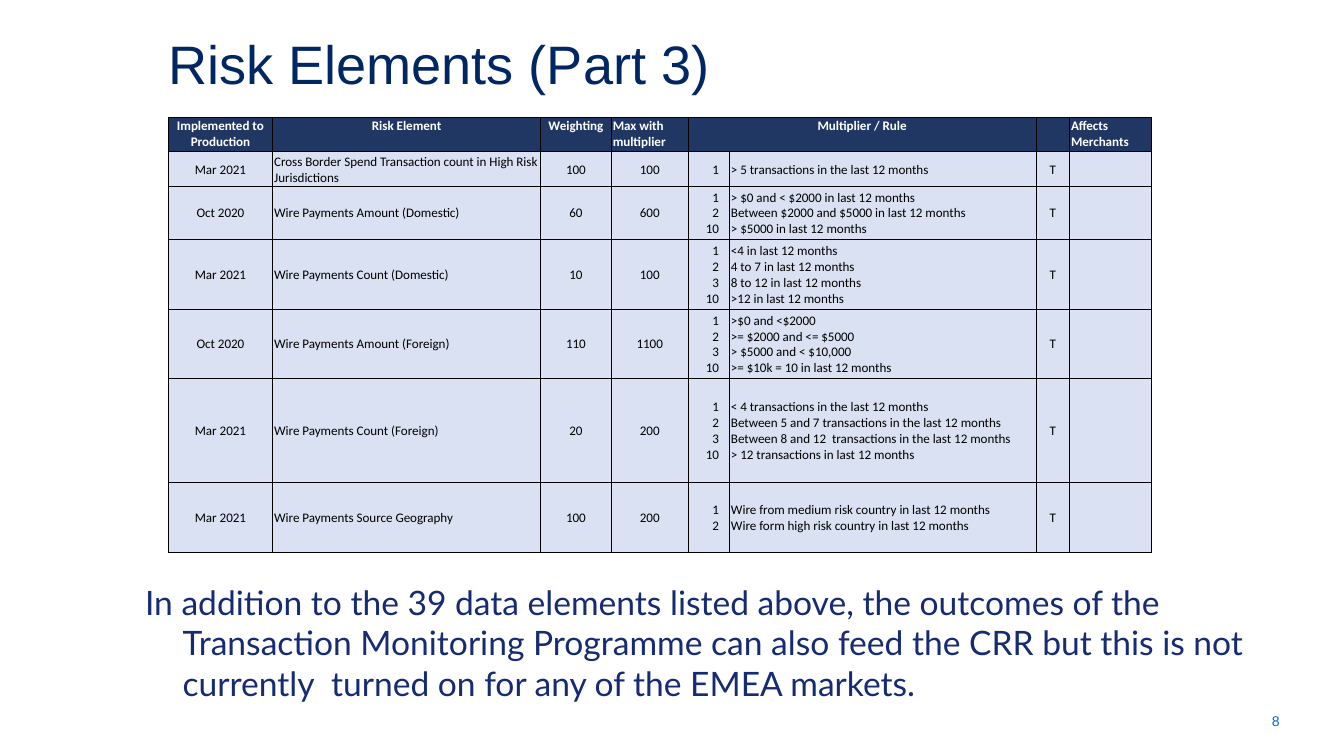
from lxml import etree
from pptx import Presentation
from pptx import util as u
from pptx.dml import color
from pptx.enum import text
from pptx.oxml import ns

HUES = {"title": "002663", "body": "162B73", "page": "006AD2", "head": "203764",
        "cell": "D9E1F2", "light": "FFFFFF", "dark": "000000"}
LEFT, MID, RIGHT = text.PP_ALIGN.LEFT, text.PP_ALIGN.CENTER, text.PP_ALIGN.RIGHT
TOP, CORE = text.MSO_ANCHOR.TOP, text.MSO_ANCHOR.MIDDLE

COLS = [0.78, 1.99, 0.53, 0.57, 0.31, 2.28, 0.25, 0.61]
HIGHS = [0.26, 0.26, 0.39, 0.52, 0.52, 0.77, 0.52]
HEADS = ["Implemented to Production", "Risk Element", "Weighting", "Max with multiplier",
         "Multiplier / Rule", "", "", "Affects Merchants"]
HEAD_SIDES = [MID, MID, MID, LEFT, MID, MID, MID, LEFT]
SIDES = [MID, LEFT, MID, MID, RIGHT, LEFT, MID, MID]
RISKS = [
    ("Mar 2021", "Cross Border Spend Transaction count in High Risk Jurisdictions", "100", "100",
     {"1": "> 5 transactions in the last 12 months"}),
    ("Oct 2020", "Wire Payments Amount (Domestic)", "60", "600",
     {"1": "> $0 and < $2000 in last 12 months",
      "2": "Between $2000 and $5000 in last 12 months",
      "10": "> $5000 in last 12 months"}),
    ("Mar 2021", "Wire Payments Count (Domestic)", "10", "100",
     {"1": "<4 in last 12 months", "2": "4 to 7 in last 12 months",
      "3": "8 to 12 in last 12 months", "10": ">12 in last 12 months"}),
    ("Oct 2020", "Wire Payments Amount (Foreign)", "110", "1100",
     {"1": ">$0 and <$2000", "2": ">= $2000 and <= $5000",
      "3": "> $5000 and < $10,000", "10": ">= $10k = 10 in last 12 months"}),
    ("Mar 2021", "Wire Payments Count (Foreign)", "20", "200",
     {"1": "< 4 transactions in the last 12 months",
      "2": "Between 5 and 7 transactions in the last 12 months",
      "3": "Between 8 and 12  transactions in the last 12 months",
      "10": "> 12 transactions in last 12 months"}),
    ("Mar 2021", "Wire Payments Source Geography", "100", "200",
     {"1": "Wire from medium risk country in last 12 months",
      "2": "Wire form high risk country in last 12 months"}),
]
NOTE = ("In addition to the 39 data elements listed above, the outcomes of the Transaction "
        "Monitoring Programme can also feed the CRR but this is not currently  turned on "
        "for any of the EMEA markets.")


def style(para, words, face, size, hue, side=LEFT, bold=False):
    """Fill one paragraph and set its font and alignment."""
    para.text = words
    para.alignment = side
    font = para.font
    font.name, font.size, font.bold = face, u.Pt(size), bold
    font.color.rgb = color.RGBColor.from_string(HUES[hue])
    if not words:
        para._p.get_or_add_endParaRPr().set("sz", str(size * 100))


def frame(shape, anchor):
    """Give a shape a wrapping text frame without margins."""
    box = shape.text_frame
    box.word_wrap, box.auto_size = True, text.MSO_AUTO_SIZE.NONE
    box.vertical_anchor = anchor
    box.margin_left = box.margin_right = box.margin_top = box.margin_bottom = 0
    return box.paragraphs[0]


def add_title(slide, box):
    """Place the slide title in its placeholder."""
    shape = slide.shapes.title
    shape.left, shape.top, shape.width, shape.height = map(u.Inches, box)
    para = frame(shape, TOP)
    style(para, "Risk Elements (Part 3)", "Arial", 29, "title")
    para.line_spacing = 0.82


def add_note(slide, box):
    """Add the closing remark with a hanging indent."""
    para = frame(slide.shapes.add_textbox(*map(u.Inches, box)), TOP)
    props = para._p.get_or_add_pPr()
    props.set("marL", str(u.Inches(0.28)))
    props.set("indent", str(u.Inches(-0.28)))
    style(para, NOTE, "Lato", 18, "body")


def add_page(slide, box):
    """Add the page number."""
    shape = slide.shapes.add_textbox(*map(u.Inches, box))
    para = frame(shape, CORE)
    shape.text_frame.margin_right = u.Inches(0.1)
    style(para, "8", "Arial", 7.5, "page", RIGHT)


def edge(cell):
    """Draw thin lines on all four sides of a cell."""
    props = cell._tc.get_or_add_tcPr()
    for side in ("lnL", "lnR", "lnT", "lnB"):
        line = etree.SubElement(props, ns.qn("a:" + side), w=str(u.Pt(0.5)))
        fill = etree.SubElement(line, ns.qn("a:solidFill"))
        etree.SubElement(fill, ns.qn("a:srgbClr"), val=HUES["dark"])


def fill_cell(cell, words, side, head):
    """Write and format one table cell."""
    edge(cell)
    cell.fill.solid()
    cell.fill.fore_color.rgb = color.RGBColor.from_string(HUES["head" if head else "cell"])
    cell.margin_left = cell.margin_top = u.Inches(0.01)
    cell.margin_right = u.Inches(0.08 if side == RIGHT else 0.01)
    cell.margin_bottom = 0
    cell.vertical_anchor = TOP if head else CORE
    style(cell.text_frame.paragraphs[0], words, "Calibri", 7,
          "light" if head else "dark", side, head)


def add_grid(slide, box):
    """Add the table of risk elements."""
    rows = [HEADS] + [[*lead, "\n".join(rules), "\n".join(rules.values()), "T", ""]
                      for *lead, rules in RISKS]
    grid = slide.shapes.add_table(len(rows), len(COLS), *map(u.Inches, box)).table
    for col, wide in zip(grid.columns, COLS):
        col.width = u.Inches(wide)
    for row, high in zip(grid.rows, HIGHS):
        row.height = u.Inches(high)
    for r, row in enumerate(rows):
        sides = SIDES if r else HEAD_SIDES
        for c, (words, side) in enumerate(zip(row, sides)):
            fill_cell(grid.cell(r, c), words, side, r == 0)
    grid.cell(0, 4).merge(grid.cell(0, 5))


def main():
    """Build and save a slide in the 16 to 9 format."""
    deck = Presentation()
    deck.slide_width, deck.slide_height = u.Inches(10), u.Inches(10 * 9 / 16)
    slide = deck.slides.add_slide(deck.slide_layouts[5])
    add_title(slide, (1.25, 0.31, 8.46, 0.44))
    add_grid(slide, (1.25, 0.87, sum(COLS), sum(HIGHS)))
    add_note(slide, (1.08, 4.33, 8.3, 1.16))
    add_page(slide, (8.76, 5.24, 0.86, 0.25))
    deck.save("out.pptx")


if __name__ == "__main__":
    main()
